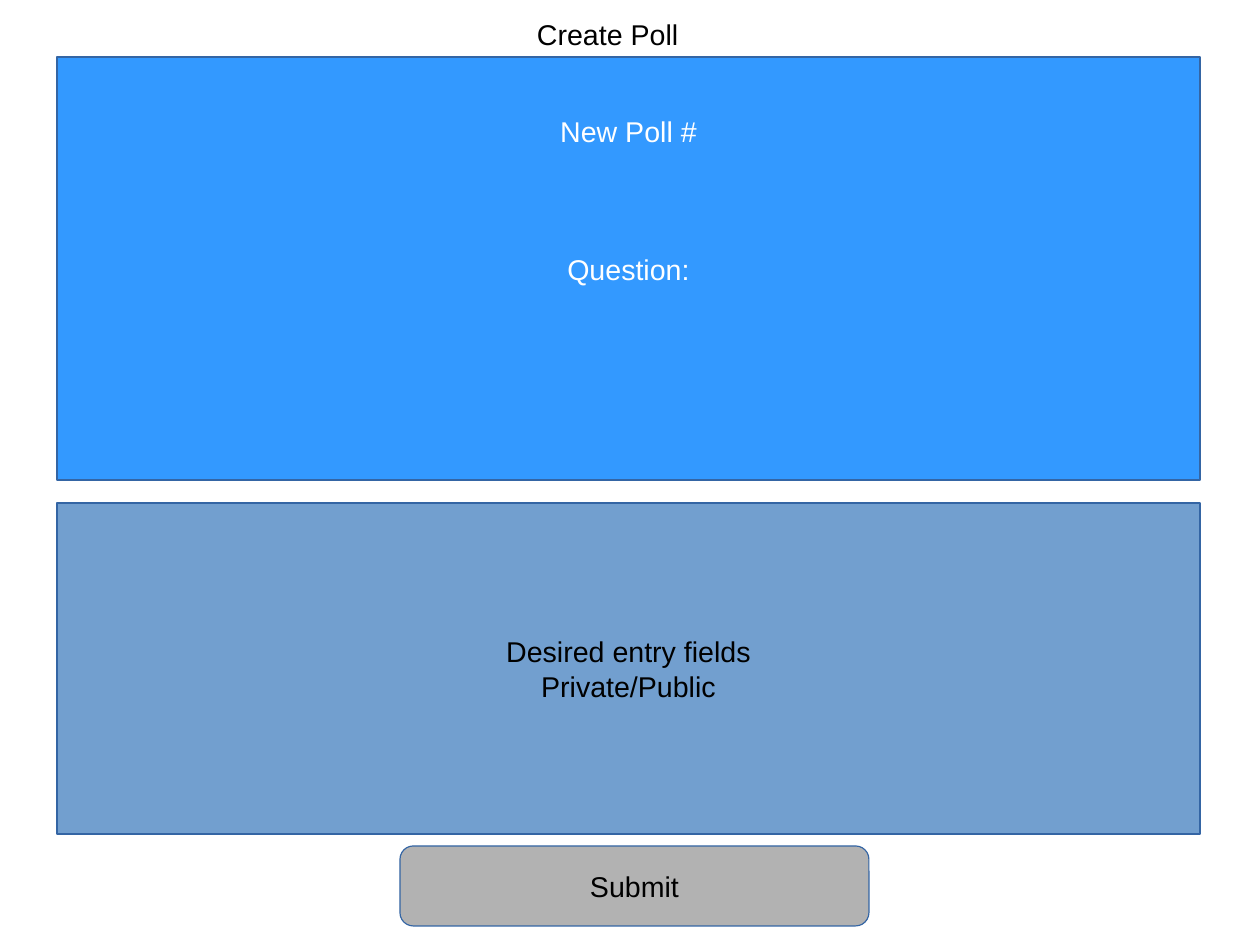
import pptx
import pptx.dml.color
import pptx.enum.shapes
import pptx.enum.text
import pptx.util

PX = 8000  # EMU per px, the slide is 1260 px wide
SHAPES = pptx.enum.shapes.MSO_SHAPE
ALIGN = pptx.enum.text.PP_ALIGN
ANCHOR = pptx.enum.text.MSO_ANCHOR

OUTLINE = "3465A4"
BLACK = "000000"
WHITE = "FFFFFF"


def color(value):
    return pptx.dml.color.RGBColor.from_string(value)


def box(left, top, width, height):
    return [pptx.util.Emu(length * PX) for length in (left, top, width, height)]


def write(shape, text, ink=BLACK, align=ALIGN.CENTER, anchor=ANCHOR.MIDDLE,
          inset_top=6, gap=0):
    """Write the lines of text as paragraphs, gap points apart."""
    frame = shape.text_frame
    frame.text = text
    frame.word_wrap = True
    frame.auto_size = pptx.enum.text.MSO_AUTO_SIZE.NONE
    frame.vertical_anchor = anchor
    frame.margin_left = frame.margin_right = 11 * PX
    frame.margin_top, frame.margin_bottom = inset_top * PX, 6 * PX
    for number, paragraph in enumerate(frame.paragraphs):
        paragraph.alignment = align
        paragraph.space_before = pptx.util.Pt(gap if number else 0)
        paragraph.font.name = "Arial"
        paragraph.font.size = pptx.util.Pt(18)
        paragraph.font.color.rgb = color(ink)


def add_panel(slide, kind, place, fill, text, **text_format):
    panel = slide.shapes.add_shape(kind, *box(*place))
    panel.shadow.inherit = False
    panel.fill.solid()
    panel.fill.fore_color.rgb = color(fill)
    panel.line.color.rgb = color(OUTLINE)
    panel.line.width = pptx.util.Pt(0)
    write(panel, text, **text_format)


def add_title(slide, place, text):
    heading = slide.shapes.title
    heading.left, heading.top, heading.width, heading.height = box(*place)
    write(heading, text, align=ALIGN.LEFT, anchor=ANCHOR.TOP)


def main():
    deck = pptx.Presentation()
    deck.slide_width, deck.slide_height = 1260 * PX, 945 * PX
    slide = deck.slides.add_slide(deck.slide_layouts.get_by_name("Title Only"))

    add_title(slide, (526, 11, 171, 43), "Create Poll")

    # Poll number and question
    add_panel(slide, SHAPES.RECTANGLE, (57, 57, 1143, 423), "3399FF",
              "New Poll #\nQuestion:", ink=WHITE, anchor=ANCHOR.TOP,
              inset_top=57, gap=65)

    # Entry fields
    add_panel(slide, SHAPES.RECTANGLE, (57, 503, 1143, 331), "729FCF",
              "Desired entry fields\nPrivate/Public")

    # Submit button
    add_panel(slide, SHAPES.ROUNDED_RECTANGLE, (400, 846, 469, 80), "B2B2B2",
              "Submit")

    deck.save("out.pptx")


if __name__ == "__main__":
    main()
